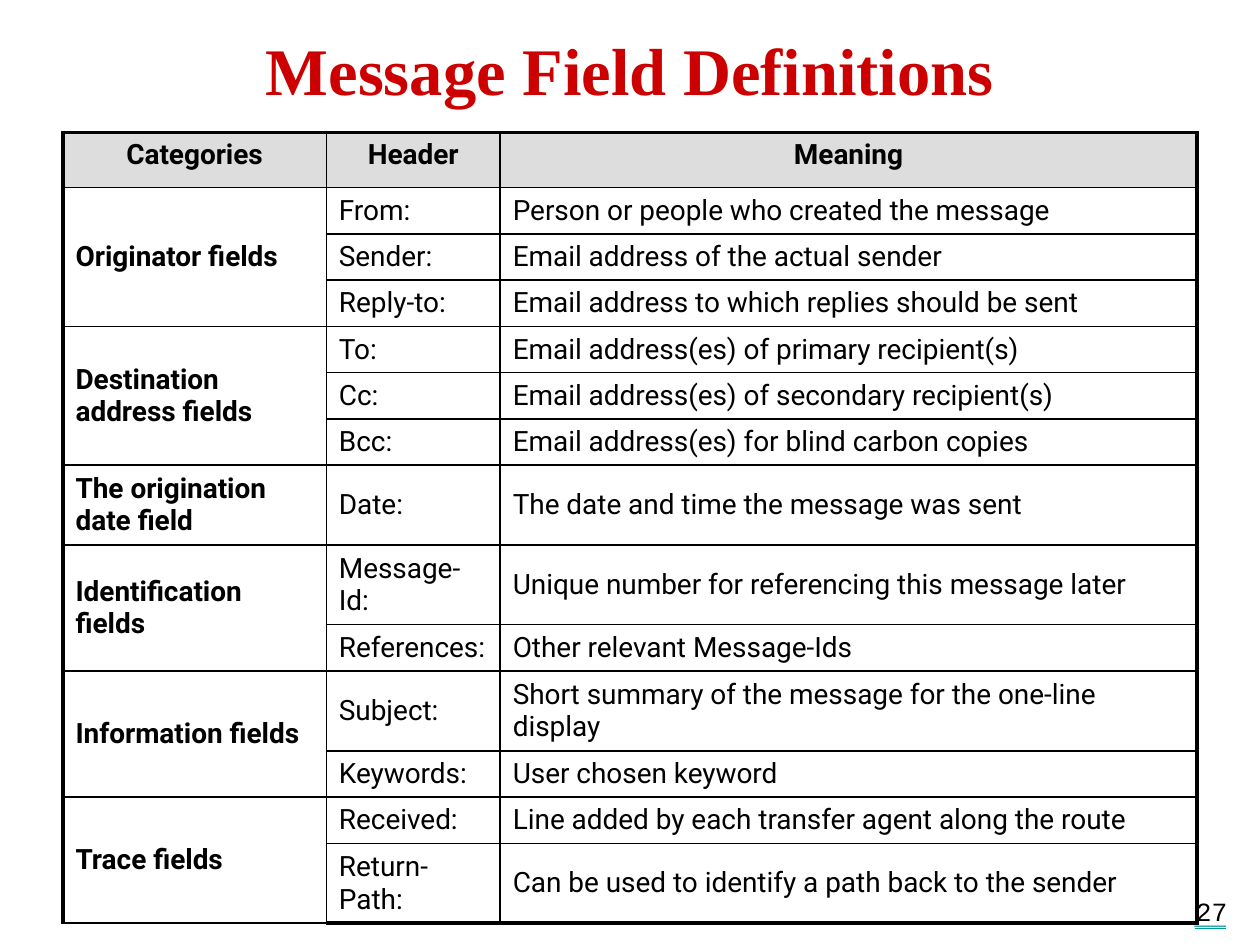
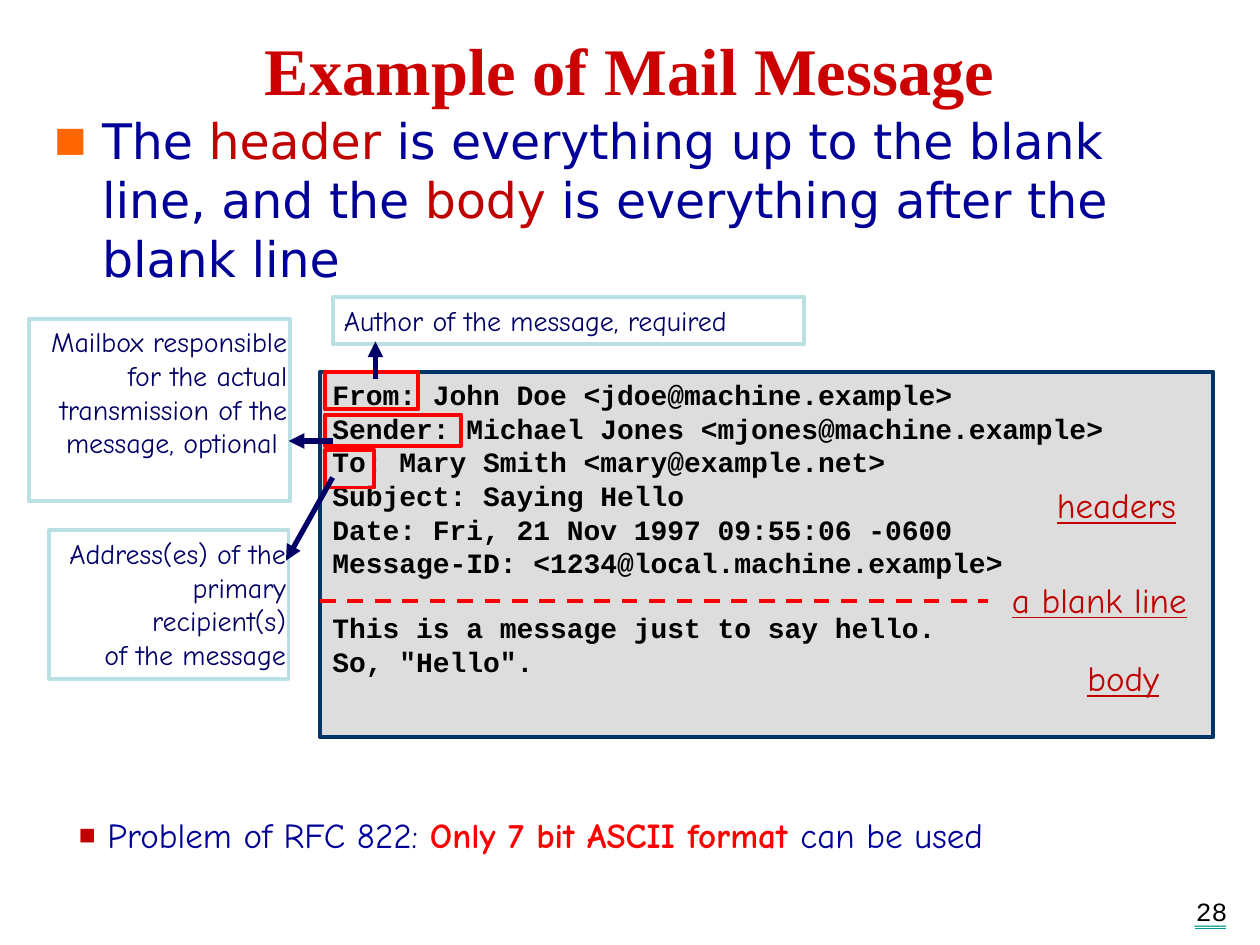
from dataclasses import dataclass
from typing import NamedTuple

from lxml import etree
from pptx import Presentation
from pptx import util as u
from pptx.dml import color
from pptx.enum import dml, shapes, text
from pptx.oxml import ns


@dataclass(frozen=True)
class Theme:
    title_font: str = "Times New Roman"
    body_font: str = "DejaVu Sans"
    table_font: str = "Roboto"
    code_font: str = "Courier New"
    note_font: str = "Comic Neue"
    title_size: float = 38
    body_size: float = 28
    label_size: float = 20
    small_size: float = 16
    number_size: float = 15
    black: str = "000000"
    white: str = "FFFFFF"
    grey: str = "DDDDDD"
    title_red: str = "CC0000"
    dark_red: str = "C00000"
    red: str = "FF0000"
    blue: str = "000099"
    navy: str = "000066"
    steel: str = "003366"
    pale_blue: str = "BBE0E3"
    orange: str = "FF6600"
    teal: str = "009999"
    outline: float = 2.25
    grid: float = 1
    arrow: float = 3


THEME = Theme()
LEFT, CENTER, RIGHT = text.PP_ALIGN.LEFT, text.PP_ALIGN.CENTER, text.PP_ALIGN.RIGHT


class Box(NamedTuple):
    left: float
    top: float
    width: float
    height: float

    def lengths(self) -> tuple:
        return tuple(u.Inches(value) for value in self)


class Style(NamedTuple):
    font: str
    size: float
    color: str
    bold: bool = False
    underline: bool = False


class Note(NamedTuple):
    box: Box
    lines: tuple[str, ...]
    align: text.PP_ALIGN
    left_inset: float = 0.02


class Line(NamedTuple):
    start: tuple[float, float]
    end: tuple[float, float]


CODE = Style(THEME.code_font, THEME.small_size, THEME.black, bold=True)
NOTE = Style(THEME.note_font, THEME.small_size, THEME.navy)
LABEL = Style(THEME.note_font, THEME.label_size, THEME.dark_red, underline=True)
NUMBER = Style(THEME.code_font, THEME.number_size, THEME.black)
BODY = Style(THEME.body_font, THEME.body_size, THEME.blue)
BODY_KEY = BODY._replace(color=THEME.dark_red)

FIELD_TABLE = Box(0.5, 1.05, 9, 4.34)
COLUMN_WIDTHS = (2.09, 1.38, 5.53)
HEADINGS = ("Categories", "Header", "Meaning")
FIELD_GROUPS = (
    ("Originator fields", (
        ("From:", "Person or people who created the message"),
        ("Sender:", "Email address of the actual sender"),
        ("Reply-to:", "Email address to which replies should be sent"))),
    ("Destination address fields", (
        ("To:", "Email address(es) of primary recipient(s)"),
        ("Cc:", "Email address(es) of secondary recipient(s)"),
        ("Bcc:", "Email address(es) for blind carbon copies"))),
    ("The origination date field", (
        ("Date:", "The date and time the message was sent"),)),
    ("Identification fields", (
        ("Message-Id:", "Unique number for referencing this message later"),
        ("References:", "Other relevant Message-Ids"))),
    ("Information fields", (
        ("Subject:", "Short summary of the message for the one-line display"),
        ("Keywords:", "User chosen keyword"))),
    ("Trace fields", (
        ("Received:", "Line added by each transfer agent along the route"),
        ("Return-Path:", "Can be used to identify a path back to the sender"))),
)

MAIL_BOX = Box(2.54, 2.95, 7.09, 2.9)
MAIL_HEADERS = (
    "From: John Doe <jdoe@machine.example>",
    "Sender: Michael Jones <mjones@machine.example>",
    "To: Mary Smith <mary@example.net>",
    "Subject: Saying Hello",
    "Date: Fri, 21 Nov 1997 09:55:06 -0600",
    "Message-ID: <1234@local.machine.example>",
)
MAIL_BODY = ("This is a message just to say hello.", 'So, "Hello".')
BLANK_LINE_HEIGHT = 18
HEADER_FRAMES = (Box(2.58, 2.95, 0.74, 0.3), Box(2.58, 3.29, 1.08, 0.25),
                 Box(2.58, 3.57, 0.39, 0.3))
NOTES = (
    Note(Box(2.64, 2.36, 3.74, 0.37), ("Author of the message, required",), LEFT, 0.09),
    Note(Box(0.23, 2.53, 2.07, 1.45),
         ("Mailbox responsible for the actual transmission of the message, optional ",), RIGHT),
    Note(Box(0.39, 4.21, 1.9, 1.18),
         ("Address(es) of the primary recipient(s)", "of the message"), RIGHT),
)
NOTE_ARROWS = (Line((2.98, 3.01), (2.98, 2.71)), Line((2.64, 3.5), (2.29, 3.5)),
               Line((2.64, 3.79), (2.27, 4.45)))
BLANK_LINE_MARK = Line((2.54, 4.77), (7.84, 4.77))
PART_LABELS = (("headers", Box(8.2, 3.79, 1.32, 0.44)),
               ("body", Box(8.3, 5.16, 1.23, 0.44)),
               ("a blank line", Box(7.84, 4.54, 1.77, 0.43)))


def rgb(value: str) -> color.RGBColor:
    return color.RGBColor.from_string(value)


def add_run(paragraph, words: str, style: Style) -> None:
    run = paragraph.add_run()
    run.text = words
    font = run.font
    font.name, font.size = style.font, u.Pt(style.size)
    font.bold, font.underline = style.bold, style.underline
    font.color.rgb = rgb(style.color)


def write_lines(frame, lines: tuple[str, ...], style: Style, align=LEFT) -> None:
    frame.word_wrap = True
    for index, words in enumerate(lines):
        paragraph = frame.add_paragraph() if index else frame.paragraphs[0]
        paragraph.alignment = align
        add_run(paragraph, words, style)


def add_text(slide, box: Box, words: str, style: Style, align=CENTER) -> None:
    write_lines(slide.shapes.add_textbox(*box.lengths()).text_frame, (words,), style, align)


def add_bullet(paragraph, bullet_color: str, percent: int, hanging: float = 0) -> None:
    properties = paragraph._p.get_or_add_pPr()
    properties.set("marL", str(u.Inches(hanging)))
    properties.set("indent", str(-u.Inches(hanging)))
    holder = etree.SubElement(properties, ns.qn("a:buClr"))
    etree.SubElement(holder, ns.qn("a:srgbClr"), val=bullet_color)
    etree.SubElement(properties, ns.qn("a:buSzPct"), val=str(percent * 1000))
    etree.SubElement(properties, ns.qn("a:buFont"), typeface="Arial")
    etree.SubElement(properties, ns.qn("a:buChar"), char="■")


def add_rectangle(slide, box: Box, line_color: str, fill: str = ""):
    shape = slide.shapes.add_shape(shapes.MSO_SHAPE.RECTANGLE, *box.lengths())
    shape.shadow.inherit = False
    if fill:
        shape.fill.solid()
        shape.fill.fore_color.rgb = rgb(fill)
    else:
        shape.fill.background()
    shape.line.color.rgb = rgb(line_color)
    shape.line.width = u.Pt(THEME.outline)
    shape.text_frame.vertical_anchor = text.MSO_ANCHOR.TOP
    return shape


def add_line(slide, line: Line, line_color: str, width: float):
    points = [u.Inches(value) for value in line.start + line.end]
    connector = slide.shapes.add_connector(shapes.MSO_CONNECTOR.STRAIGHT, *points)
    connector.line.color.rgb = rgb(line_color)
    connector.line.width = u.Pt(width)
    etree.SubElement(connector._element.spPr, ns.qn("a:effectLst"))
    return connector


def add_arrow(slide, line: Line) -> None:
    connector = add_line(slide, line, THEME.navy, THEME.arrow)
    etree.SubElement(connector.line._get_or_add_ln(), ns.qn("a:tailEnd"), type="triangle")


def add_note(slide, note: Note) -> None:
    frame = add_rectangle(slide, note.box, THEME.pale_blue).text_frame
    frame.margin_left, frame.margin_right = u.Inches(note.left_inset), u.Inches(0.02)
    write_lines(frame, note.lines, NOTE, note.align)


def add_slide(presentation, layout: int, title: str, number: int):
    """Add a slide with the shared title and underlined page number."""
    slide = presentation.slides.add_slide(presentation.slide_layouts[layout])
    add_text(slide, Box(8.23, 7.06, 1.61, 0.28), str(number), NUMBER, RIGHT)
    add_text(slide, Box(8.22, 7.08, 1.61, 0.28), "__",
             NUMBER._replace(color=THEME.teal, underline=True), RIGHT)
    place(slide.shapes.title, Box(0.5, 0.17, 9, 0.75))
    frame = slide.shapes.title.text_frame
    frame.vertical_anchor = text.MSO_ANCHOR.MIDDLE
    write_lines(frame, (title,),
                Style(THEME.title_font, THEME.title_size, THEME.title_red, bold=True), CENTER)
    return slide


def place(placeholder, box: Box) -> None:
    placeholder.left, placeholder.top, placeholder.width, placeholder.height = box.lengths()
    placeholder.text_frame.auto_size = text.MSO_AUTO_SIZE.NONE


def set_borders(cell, outer_sides: set[str]) -> None:
    properties = cell._tc.get_or_add_tcPr()
    for side in "LRTB":
        width = THEME.outline if side in outer_sides else THEME.grid
        border = etree.SubElement(properties, ns.qn(f"a:ln{side}"), w=str(u.Pt(width)))
        fill = etree.SubElement(border, ns.qn("a:solidFill"))
        etree.SubElement(fill, ns.qn("a:srgbClr"), val=THEME.black)


def fill_cell(table, row: int, column: int, words: str) -> None:
    cell = table.cell(row, column)
    edges = {"L": column == 0, "R": column == len(table.columns) - 1,
             "T": row == 0, "B": row == len(table.rows) - 1}
    set_borders(cell, {side for side, outer in edges.items() if outer})
    heading = row == 0
    cell.fill.solid()
    cell.fill.fore_color.rgb = rgb(THEME.grey if heading else THEME.white)
    cell.vertical_anchor = text.MSO_ANCHOR.TOP if heading else text.MSO_ANCHOR.MIDDLE
    if words:
        style = Style(THEME.table_font, THEME.small_size, THEME.black, heading or column == 0)
        write_lines(cell.text_frame, (words,), style, CENTER if heading else LEFT)


def build_field_definitions(presentation) -> None:
    slide = add_slide(presentation, 5, "Message Field Definitions", 27)
    rows = [HEADINGS]
    spans = []
    for category, fields in FIELD_GROUPS:
        spans.append((len(rows), len(rows) + len(fields) - 1))
        rows += [("" if index else category, *field) for index, field in enumerate(fields)]
    table = slide.shapes.add_table(len(rows), len(HEADINGS), *FIELD_TABLE.lengths()).table
    table.first_row = table.horz_banding = False
    for column, width in zip(table.columns, COLUMN_WIDTHS):
        column.width = u.Inches(width)
    for row_index, row in enumerate(rows):
        table.rows[row_index].height = u.Inches(0.3 if row_index else 0.44)
        for column_index, words in enumerate(row):
            fill_cell(table, row_index, column_index, words)
    for first, last in spans:
        if last > first:
            table.cell(first, 0).merge(table.cell(last, 0))


def build_mail_example(presentation) -> None:
    slide = add_slide(presentation, 1, "Example of Mail Message", 28)
    body = slide.placeholders[1]
    place(body, Box(0.33, 0.83, 9, 6.45))
    paragraph = body.text_frame.paragraphs[0]
    add_bullet(paragraph, THEME.orange, 110, hanging=0.38)
    paragraph.space_before = u.Pt(0)
    for words, style in (("The ", BODY), ("header", BODY_KEY),
                         (" is everything up to the blank line, and the ", BODY),
                         ("body ", BODY_KEY), ("is everything after the blank line", BODY)):
        add_run(paragraph, words, style)

    mail = add_rectangle(slide, MAIL_BOX, THEME.steel, THEME.grey).text_frame
    write_lines(mail, MAIL_HEADERS + MAIL_BODY, CODE)
    mail.paragraphs[len(MAIL_HEADERS)].space_before = u.Pt(BLANK_LINE_HEIGHT)
    for frame in HEADER_FRAMES:
        add_rectangle(slide, frame, THEME.red)
    for note in NOTES:
        add_note(slide, note)
    for arrow in NOTE_ARROWS:
        add_arrow(slide, arrow)
    mark = add_line(slide, BLANK_LINE_MARK, THEME.red, THEME.outline)
    mark.line.dash_style = dml.MSO_LINE.DASH
    for words, box in PART_LABELS:
        add_text(slide, box, words, LABEL)

    problem = slide.shapes.add_textbox(*Box(0.05, 6.41, 8.33, 0.44).lengths())
    problem.text_frame.word_wrap = True
    paragraph = problem.text_frame.paragraphs[0]
    paragraph.alignment = CENTER
    add_bullet(paragraph, THEME.dark_red, 80)
    plain = LABEL._replace(color=THEME.blue, underline=False)
    add_run(paragraph, " Problem of RFC 822: ", plain)
    add_run(paragraph, "Only 7 bit ASCII format ", plain._replace(color=THEME.red, bold=True))
    add_run(paragraph, "can be used", plain)


def main() -> None:
    presentation = Presentation()
    presentation.slide_width, presentation.slide_height = u.Inches(10), u.Inches(7.5)
    build_field_definitions(presentation)
    build_mail_example(presentation)
    presentation.save("out.pptx")


if __name__ == "__main__":
    main()
